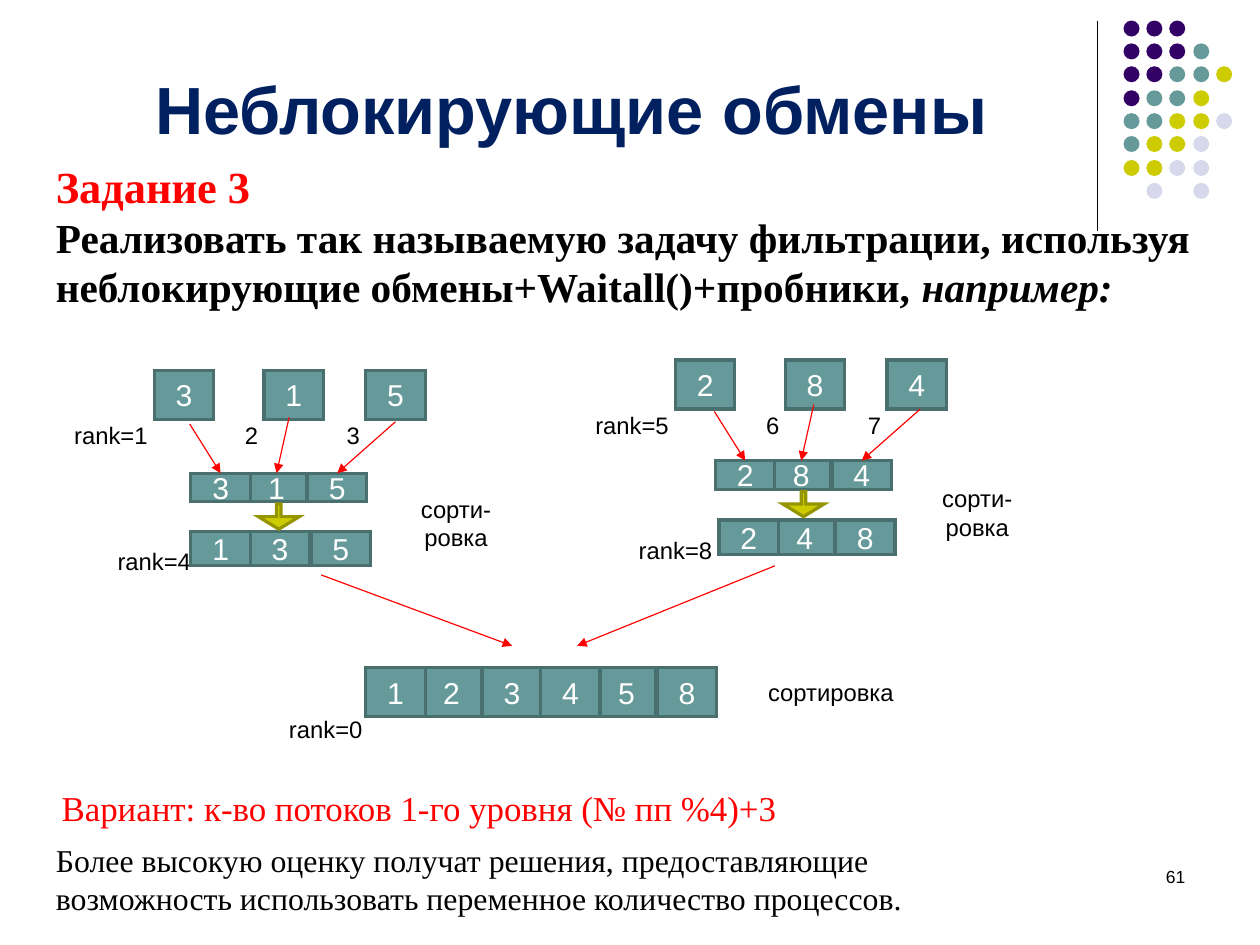
from pptx import Presentation
from pptx import util as u
from pptx.dml.color import RGBColor
from pptx.enum import shapes, text
from pptx.oxml import parse_xml
from pptx.oxml.ns import nsdecls, qn

PX = 9144
COLORS = {
    "black": "000000", "white": "FFFFFF", "navy": "002060", "red": "FF0000",
    "teal": "669999", "teal_edge": "496F6F", "olive": "CCCC00",
    "olive_edge": "959500", "purple": "330066", "lilac": "D8D8EC",
}
SANS, SERIF = "Arial", "Times New Roman"
CELL_WIDTH = 52
CELL_STEPS = (0, 49, 102, 153, 202, 255)
STACKING = (1, 0, 2, 4, 3, 5)
DOT_COLORS = {"p": "purple", "t": "teal", "o": "olive", "l": "lilac"}
DOT_ROWS = ("ppp", "pppt", "pptto", "ptto", "ttool", "tool", "ooll", " l l")


def color(name):
    return RGBColor.from_string(COLORS[name])


def box(left, top, width, height):
    return [u.Emu(value * PX) for value in (left, top, width, height)]


def add_run(paragraph, words, size, shade, font=SANS, bold=False, italic=False):
    run = paragraph.add_run()
    run.text = words
    run.font.name = font
    run.font.size = u.Pt(size)
    run.font.bold = bold
    run.font.italic = italic
    run.font.color.rgb = color(shade)


def add_shape(slide, kind, place, fill, edge=None):
    shape = slide.shapes.add_shape(kind, *box(*place))
    shape.shadow.inherit = False
    shape.fill.solid()
    shape.fill.fore_color.rgb = color(fill)
    if edge:
        shape.line.color.rgb = color(edge)
        shape.line.width = u.Pt(2)
        line = shape.line._get_or_add_ln()
        line.append(parse_xml(f'<a:miter {nsdecls("a")} lim="800000"/>'))
    else:
        shape.line.fill.background()
    return shape


def add_rectangle(slide, place, words, size, shade, fill, edge=None):
    shape = add_shape(slide, shapes.MSO_SHAPE.RECTANGLE, place, fill, edge)
    frame = shape.text_frame
    frame.word_wrap = True
    frame.vertical_anchor = text.MSO_ANCHOR.MIDDLE
    paragraph = frame.paragraphs[0]
    paragraph.alignment = text.PP_ALIGN.CENTER
    add_run(paragraph, words, size, shade)
    return shape


def add_label(slide, left, top, words, width=106):
    add_rectangle(slide, (left, top, width, 43), words, 15, "black", "white")


def add_cells(slide, left, top, height, values, steps=CELL_STEPS):
    cells = {}
    for index in STACKING[:len(values)]:
        place = (left + steps[index], top, CELL_WIDTH, height)
        cells[index] = add_rectangle(slide, place, values[index], 19,
                                     "white", "teal", "teal_edge")
    return [cells[index] for index in sorted(cells)]


def add_line(slide, start, end, shade="red", arrow=True):
    points = [u.Emu(value * PX) for value in (*start, *end)]
    connector = slide.shapes.add_connector(shapes.MSO_CONNECTOR.STRAIGHT, *points)
    connector.line.color.rgb = color(shade)
    connector.line.width = u.Pt(0.75)
    if arrow:
        line = connector.line._get_or_add_ln()
        line.append(parse_xml(f'<a:tailEnd {nsdecls("a")} type="triangle"/>'))
    properties = connector._element.find(qn("p:spPr"))
    properties.append(parse_xml(f'<a:effectLst {nsdecls("a")}/>'))
    return connector


def add_text(slide, place, paragraphs, alignment=text.PP_ALIGN.LEFT):
    frame = slide.shapes.add_textbox(*box(*place)).text_frame
    frame.word_wrap = True
    for index, runs in enumerate(paragraphs):
        paragraph = frame.add_paragraph() if index else frame.paragraphs[0]
        paragraph.alignment = alignment
        for run in runs:
            add_run(paragraph, *run)


def add_title(slide, words):
    title = slide.shapes.title
    title.left, title.top, title.width, title.height = box(126, 49, 807, 85)
    frame = title.text_frame
    frame.auto_size = text.MSO_AUTO_SIZE.NONE
    frame.word_wrap = True
    frame.vertical_anchor = text.MSO_ANCHOR.BOTTOM
    paragraph = frame.paragraphs[0]
    paragraph.alignment = text.PP_ALIGN.LEFT
    add_run(paragraph, words, 42, "navy", bold=True)


def add_dots(slide):
    add_line(slide, (960, 18), (960, 202), "black", arrow=False)
    for row, codes in enumerate(DOT_ROWS):
        for column, code in enumerate(codes):
            if code in DOT_COLORS:
                place = (983 + round(20.25 * column), 18 + round(20.25 * row), 14, 14)
                add_shape(slide, shapes.MSO_SHAPE.OVAL, place, DOT_COLORS[code])


def add_sources(slide, left, top, values, ranks):
    first, second, third, sorter = ranks
    add_label(slide, left - 53, top + 145, sorter)
    add_label(slide, left - 91, top + 35, first)
    add_label(slide, left + 59, top + 35, second, CELL_WIDTH)
    add_label(slide, left + 148, top + 35, third, CELL_WIDTH)
    add_label(slide, left + 211, top + 112, "сорти-ровка")
    add_cells(slide, left, top, 43, values, (0, 96, 185))


def add_sorting(slide, left, top, values, sorted_left, sorted_top, sorted_steps):
    received = add_cells(slide, left, top, 25, values)
    starts = ((left - 1, top - 43), (left + 86, top - 49), (left + 179, top - 45))
    for cell, start in zip(received, starts):
        add_line(slide, start, (left, top)).end_connect(cell, 0)
    add_cells(slide, sorted_left, sorted_top, 30, sorted(values), sorted_steps)
    arrow = add_shape(slide, shapes.MSO_SHAPE.DOWN_ARROW,
                      (left + 59, top + 27, 36, 22), "olive", "olive_edge")
    arrow.adjustments[0] = 0.11
    arrow.adjustments[1] = 0.5


def add_result(slide):
    add_label(slide, 232, 616, "rank=0")
    add_cells(slide, 320, 584, 43, "123458")
    add_label(slide, 649, 584, "сортировка", 156)
    add_line(slide, (281, 503), (448, 565))
    add_line(slide, (678, 495), (505, 565))


def main():
    presentation = Presentation()
    presentation.slide_width = u.Cm(28)
    presentation.slide_height = u.Cm(21)
    slide = presentation.slides.add_slide(presentation.slide_layouts[5])

    add_dots(slide)
    add_text(slide, (790, 753, 257, 55), [[("61", 11, "black")]],
             text.PP_ALIGN.RIGHT)
    add_title(slide, "Неблокирующие обмены")
    add_text(slide, (39, 134, 1016, 191), [
        [("Задание 3", 28, "red", SERIF, True)],
        [("Реализовать так называемую задачу фильтрации, используя "
          "неблокирующие обмены+Waitall()+пробники, ", 26, "black", SERIF, True),
         ("например:", 26, "black", SERIF, True, True)],
    ])

    add_sources(slide, 135, 324, "315", ("rank=1", "2", "3", "rank=4"))
    add_sources(slide, 591, 315, "284", ("rank=5", "6", "7", "rank=8"))
    add_sorting(slide, 167, 414, "315", 167, 465, (0, 52, 105))
    add_sorting(slide, 626, 403, "284", 629, 455, CELL_STEPS)
    add_result(slide)

    add_text(slide, (44, 683, 699, 47), [
        [("Вариант: к-во потоков 1-го уровня (№ пп %4)+3", 22, "red", SERIF)]])
    add_text(slide, (39, 731, 822, 77), [
        [("Более высокую оценку получат решения, предоставляющие возможность "
          "использовать переменное количество процессов.", 20, "black", SERIF)]])
    presentation.save("out.pptx")


if __name__ == "__main__":
    main()
